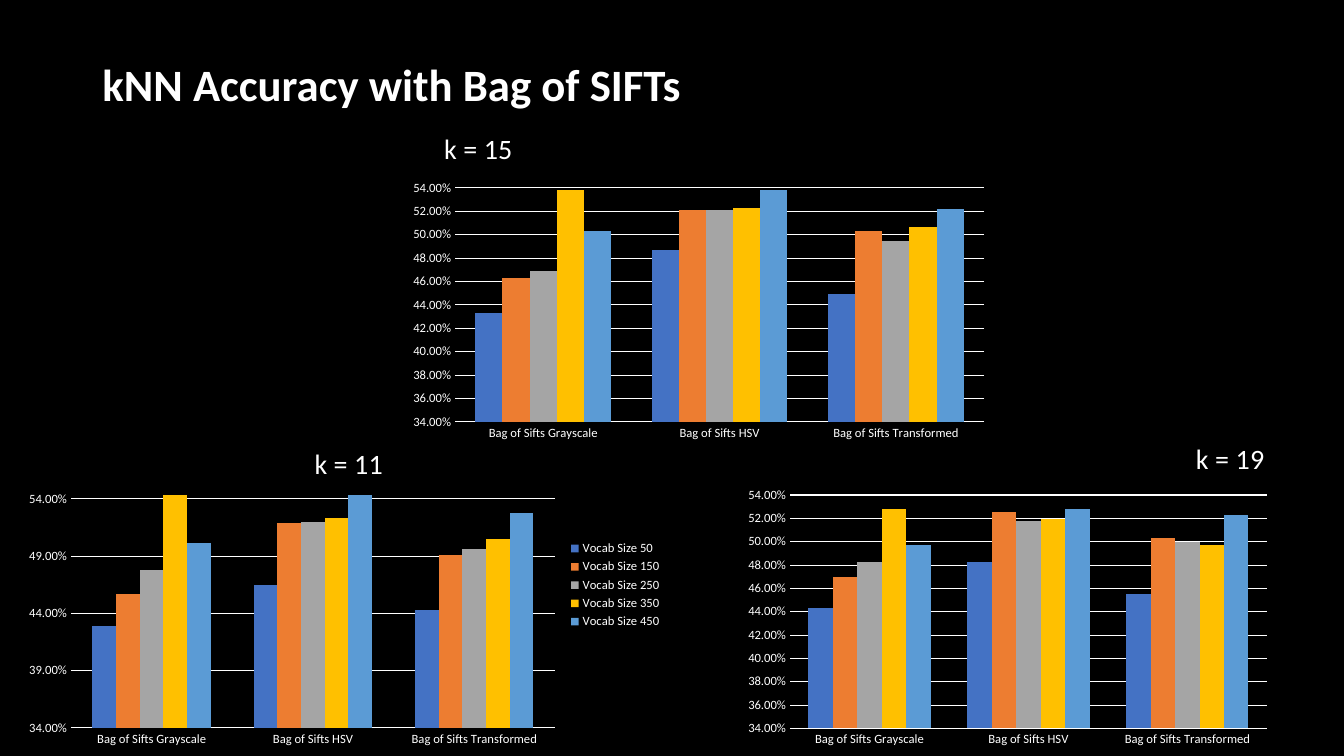
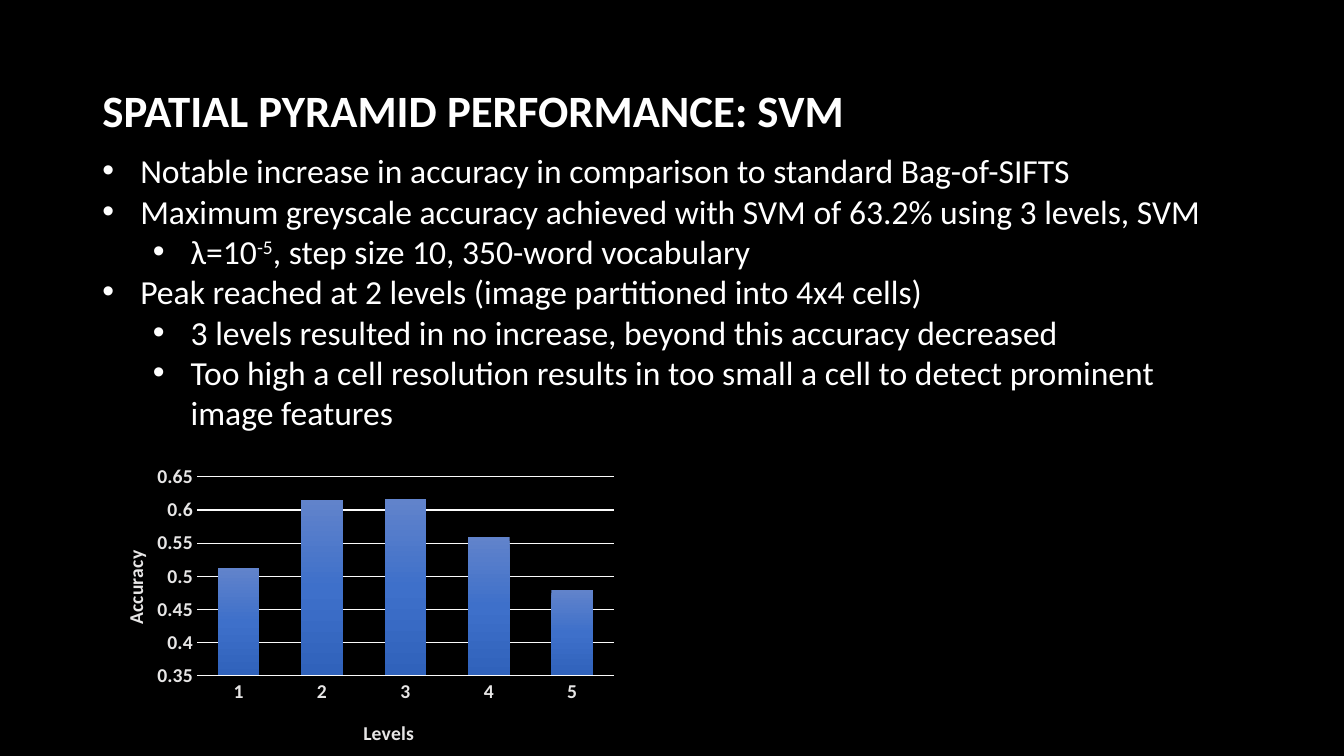
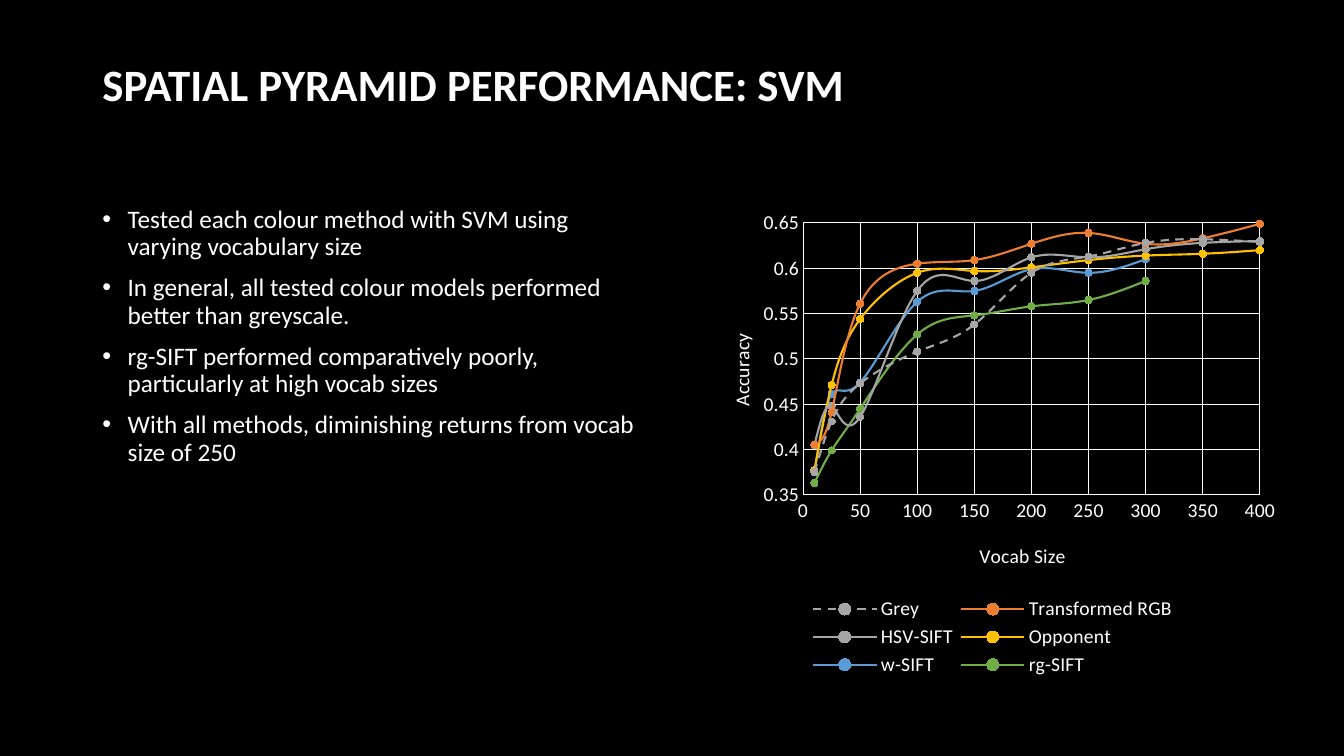
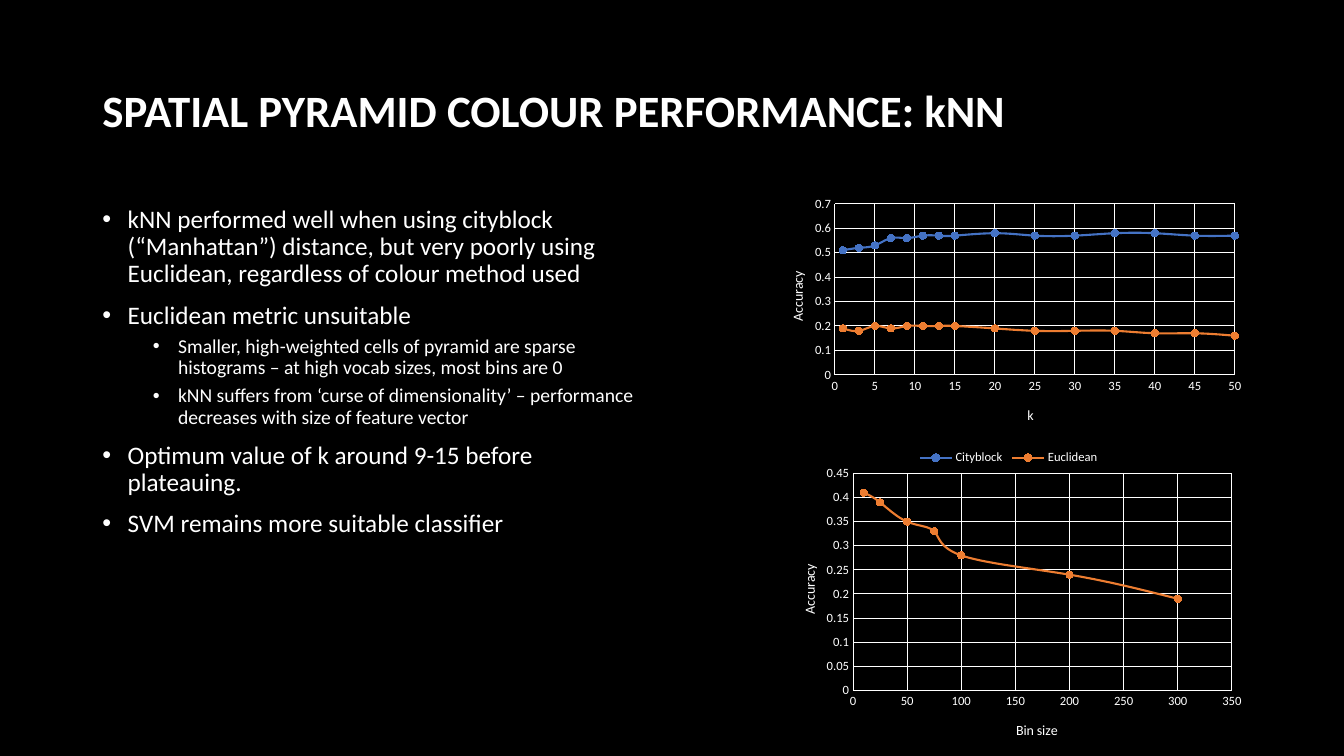
from dataclasses import dataclass
from typing import NamedTuple, Optional

from lxml.etree import SubElement
from pptx import Presentation
from pptx.chart.data import CategoryChartData, XyChartData
from pptx.dml.color import RGBColor
from pptx.enum.chart import XL_CHART_TYPE as ChartType
from pptx.enum.chart import XL_LEGEND_POSITION as LegendPosition
from pptx.enum.chart import XL_MARKER_STYLE as MarkerStyle
from pptx.enum.chart import XL_TICK_MARK as TickMark
from pptx.enum.dml import MSO_LINE_DASH_STYLE as DashStyle
from pptx.enum.text import MSO_ANCHOR as Anchor
from pptx.enum.text import MSO_AUTO_SIZE as AutoSize
from pptx.enum.text import PP_ALIGN as Align
from pptx.oxml import parse_xml
from pptx.oxml.ns import nsdecls, qn
from pptx.util import Pt

FONT = "Calibri"
COLOURS = {
    "background": "000000",
    "text": "FFFFFF",
    "soft_text": "E7E6E6",
    "soft_line": "FBFBFB",
    "blue": "4472C4",
    "orange": "ED7D31",
    "grey": "A5A5A5",
    "dash_grey": "A6A6A6",
    "gold": "FFC000",
    "sky": "5B9BD5",
    "green": "70AD47",
    "bar_top": "6183CB",
    "bar_middle": "3E70CA",
    "bar_bottom": "3062BB",
}


class Box(NamedTuple):
    left: float
    top: float
    width: float = 0
    height: float = 0


class Scale(NamedTuple):
    minimum: float
    maximum: float
    step: float


class Series(NamedTuple):
    name: str
    values: tuple[float, ...]
    colour: str
    dashed: bool = False


class Label(NamedTuple):
    text: str
    left: float
    top: float


class Bullet(NamedTuple):
    text: str
    level: int = 0


@dataclass(frozen=True)
class BulletStyle:
    sizes: tuple[float, float]
    indent: float
    spacing: float
    before: tuple[float, float]


@dataclass(frozen=True)
class ChartSpec:
    frame: Box
    plot: Box
    series: tuple[Series, ...]
    value_scale: Scale
    categories: tuple[str, ...] = ()
    x_values: tuple[float, ...] = ()
    x_scale: Optional[Scale] = None
    title: Optional[Label] = None
    x_title: Optional[Label] = None
    y_title: Optional[Label] = None
    legend: Optional[Box] = None
    legend_position: LegendPosition = LegendPosition.BOTTOM
    size: float = 9
    title_size: float = 10
    bold: bool = False
    text_colour: str = "text"
    line_colour: str = "text"
    number_format: str = "General"
    gap: int = 150
    overlap: int = 0
    gradient: bool = False


TITLE_HIGH = Box(66, 37.5, 828, 49)
TITLE_LOW = Box(66, 28.75, 854, 104.4)
BODY = Box(66, 144, 402.5, 342.7)
WIDE_BODY = Box(66, 103.7, 828, 239.8)
LIST_STYLE = BulletStyle((18, 14), 18, 0.9, (10, 5))
WIDE_LIST_STYLE = BulletStyle((24, 24), 27, 1.0, (0, 0))

SIFT_CATEGORIES = ("Bag of Sifts Grayscale", "Bag of Sifts HSV", "Bag of Sifts Transformed")
VOCAB_SIZES = (50, 150, 250, 350, 450)
VOCAB_COLOURS = ("blue", "orange", "grey", "gold", "sky")


def vocab_series(*rows: tuple[float, ...]) -> tuple[Series, ...]:
    return tuple(
        Series(f"Vocab Size {size}", row, colour)
        for size, row, colour in zip(VOCAB_SIZES, rows, VOCAB_COLOURS)
    )


SIFT_CHARTS = (
    ChartSpec(
        Box(11.5, 298, 468.7, 240.5),
        Box(50.7, 348.2, 345.7, 171.8),
        vocab_series(
            (0.429, 0.465, 0.443),
            (0.457, 0.519, 0.491),
            (0.478, 0.52, 0.496),
            (0.543, 0.523, 0.505),
            (0.501, 0.543, 0.528),
        ),
        Scale(0.34, 0.55, 0.05),
        SIFT_CATEGORIES,
        title=Label("k = 11", 221, 313.5),
        title_size=20,
        legend=Box(405, 384, 69, 68),
        legend_position=LegendPosition.RIGHT,
        number_format="0.00%",
        gap=182,
    ),
    ChartSpec(
        Box(286.6, 79.2, 424.8, 240.5),
        Box(325, 134.3, 377.9, 167.1),
        vocab_series(
            (0.433, 0.487, 0.449),
            (0.463, 0.521, 0.503),
            (0.469, 0.521, 0.495),
            (0.538, 0.523, 0.507),
            (0.503, 0.538, 0.522),
        ),
        Scale(0.34, 0.54, 0.02),
        SIFT_CATEGORIES,
        title=Label("k = 15", 313.6, 88.5),
        title_size=20,
        number_format="0.00%",
    ),
    ChartSpec(
        Box(527, 298, 386, 240.5),
        Box(564.3, 353.6, 340.7, 166.8),
        vocab_series(
            (0.443, 0.483, 0.455),
            (0.47, 0.525, 0.503),
            (0.483, 0.518, 0.5),
            (0.528, 0.519, 0.497),
            (0.497, 0.528, 0.523),
        ),
        Scale(0.34, 0.54, 0.02),
        SIFT_CATEGORIES,
        title=Label("k = 19", 850.7, 310),
        title_size=20,
        number_format="0.00%",
    ),
)

LEVELS_CHART = ChartSpec(
    Box(66, 327.6, 380.2, 216.7),
    Box(140.7, 340.7, 297.9, 141.8),
    (Series("Accuracy", (0.512, 0.615, 0.616, 0.559, 0.479), "blue"),),
    Scale(0.35, 0.65, 0.05),
    ("1", "2", "3", "4", "5"),
    x_title=Label("Levels", 257, 511),
    y_title=Label("Accuracy", 84.5, 390.7),
    size=14,
    title_size=14,
    bold=True,
    text_colour="soft_text",
    line_colour="soft_line",
    gap=100,
    overlap=-24,
    gradient=True,
)

COLOUR_CHART = ChartSpec(
    Box(499, 144, 421.2, 342.7),
    Box(573.6, 159.3, 326.4, 194.3),
    (
        Series("Grey", (0.375, 0.431, 0.473, 0.508, 0.538, 0.595, 0.613, 0.628, 0.632, 0.629), "dash_grey", True),
        Series("Transformed RGB", (0.405, 0.441, 0.561, 0.605, 0.609, 0.627, 0.639, 0.627, 0.633, 0.649), "orange"),
        Series("HSV-SIFT", (0.405, 0.448, 0.436, 0.575, 0.586, 0.612, 0.612, 0.621, 0.628, 0.63), "grey"),
        Series("Opponent", (0.377, 0.471, 0.544, 0.595, 0.597, 0.601, 0.609, 0.614, 0.616, 0.62), "gold"),
        Series("w-SIFT", (0.375, 0.461, 0.474, 0.563, 0.575, 0.599, 0.595, 0.61), "sky"),
        Series("rg-SIFT", (0.363, 0.399, 0.445, 0.527, 0.548, 0.558, 0.565, 0.586), "green"),
    ),
    Scale(0.35, 0.65, 0.05),
    x_values=(10, 25, 50, 100, 150, 200, 250, 300, 350, 400),
    x_scale=Scale(0, 400, 50),
    x_title=Label("Vocab Size", 697, 385),
    y_title=Label("Accuracy", 517.5, 235.7),
    legend=Box(575, 424, 268, 62),
    size=14,
    title_size=14,
)

KNN_CHARTS = (
    ChartSpec(
        Box(545, 136, 348.5, 199.4),
        Box(596.4, 145.7, 285.7, 122.1),
        (
            Series(
                "Cityblock",
                (0.51, 0.52, 0.53, 0.56, 0.56, 0.57, 0.57, 0.57, 0.58, 0.57, 0.57, 0.58, 0.58, 0.57, 0.57),
                "blue",
            ),
            Series(
                "Euclidean",
                (0.19, 0.18, 0.2, 0.19, 0.2, 0.2, 0.2, 0.2, 0.19, 0.18, 0.18, 0.18, 0.17, 0.17, 0.16),
                "orange",
            ),
        ),
        Scale(0, 0.7, 0.1),
        x_values=(1, 3, 5, 7, 9, 11, 13, 15, 20, 25, 30, 35, 40, 45, 50),
        x_scale=Scale(0, 50, 5),
        x_title=Label("k", 732, 288),
        y_title=Label("Accuracy", 561.5, 192),
        legend=Box(653, 319, 135, 16),
    ),
    ChartSpec(
        Box(554.4, 329, 339.8, 211),
        Box(609.3, 338.2, 270.7, 155),
        (Series("Euclidean", (0.41, 0.39, 0.35, 0.33, 0.28, 0.24, 0.19), "orange"),),
        Scale(0, 0.45, 0.05),
        x_values=(10, 25, 50, 75, 100, 200, 300),
        x_scale=Scale(0, 350, 50),
        x_title=Label("Bin size", 724, 513.5),
        y_title=Label("Accuracy", 570, 401.4),
    ),
)

LEVELS_BULLETS = (
    Bullet("Notable increase in accuracy in comparison to standard Bag-of-SIFTS"),
    Bullet("Maximum greyscale accuracy achieved with SVM of 63.2% using 3 levels, SVM"),
    Bullet("λ=10^-5^, step size 10, 350-word vocabulary", 1),
    Bullet("Peak reached at 2 levels (image partitioned into 4x4 cells)"),
    Bullet("3 levels resulted in no increase, beyond this accuracy decreased", 1),
    Bullet("Too high a cell resolution results in too small a cell to detect prominent image features", 1),
)
COLOUR_BULLETS = (
    Bullet("Tested each colour method with SVM using varying vocabulary size"),
    Bullet("In general, all tested colour models performed better than greyscale."),
    Bullet("rg-SIFT performed comparatively poorly, particularly at high vocab sizes"),
    Bullet("With all methods, diminishing returns from vocab size of 250"),
)
KNN_BULLETS = (
    Bullet(
        "kNN performed well when using cityblock (“Manhattan”) distance, "
        "but very poorly using Euclidean, regardless of colour method used"
    ),
    Bullet("Euclidean metric unsuitable"),
    Bullet("Smaller, high-weighted cells of pyramid are sparse histograms – at high vocab sizes, most bins are 0", 1),
    Bullet("kNN suffers from ‘curse of dimensionality’ – performance decreases with size of feature vector", 1),
    Bullet("Optimum value of k around 9-15 before plateauing."),
    Bullet("SVM remains more suitable classifier"),
)


def rgb(name: str) -> RGBColor:
    return RGBColor.from_string(COLOURS[name])


def style_font(font, size: float, colour: str = "text", bold: bool = False) -> None:
    font.name = FONT
    font.size = Pt(size)
    font.bold = bold
    font.color.rgb = rgb(colour)


def style_line(line, colour: str, width: float = 0.75) -> None:
    line.color.rgb = rgb(colour)
    line.width = Pt(width)


def move(shape, box: Box) -> None:
    shape.left, shape.top, shape.width, shape.height = (Pt(value) for value in box)


def add_slide(presentation, title: str, title_box: Box, has_body: bool = True):
    slide = presentation.slides.add_slide(presentation.slide_layouts[1 if has_body else 5])
    shape = slide.shapes.title
    move(shape, title_box)
    frame = shape.text_frame
    frame.text = title
    frame.auto_size = AutoSize.NONE
    frame.vertical_anchor = Anchor.MIDDLE
    paragraph = frame.paragraphs[0]
    paragraph.alignment = Align.LEFT
    paragraph.line_spacing = 0.9
    style_font(paragraph.runs[0].font, 32, bold=True)
    return slide


def fill_body(slide, box: Box, bullets: tuple[Bullet, ...], style: BulletStyle) -> None:
    shape = slide.placeholders[1]
    move(shape, box)
    frame = shape.text_frame
    frame.auto_size = AutoSize.NONE
    frame.vertical_anchor = Anchor.TOP
    for index, bullet in enumerate(bullets):
        paragraph = frame.add_paragraph() if index else frame.paragraphs[0]
        paragraph.level = bullet.level
        properties = paragraph._p.get_or_add_pPr()
        properties.set("marL", str(Pt(style.indent + 36 * bullet.level)))
        properties.set("indent", str(-Pt(style.indent)))
        SubElement(properties, qn("a:buFont")).set("typeface", "Arial")
        SubElement(properties, qn("a:buChar")).set("char", "•")
        paragraph.line_spacing = style.spacing
        paragraph.space_before = Pt(style.before[bullet.level] if index else 0)
        paragraph.space_after = Pt(0)
        for part_index, part in enumerate(bullet.text.split("^")):
            run = paragraph.add_run()
            run.text = part
            style_font(run.font, style.sizes[bullet.level])
            if part_index % 2:
                run._r.get_or_add_rPr().set("baseline", "30000")


def set_layout(element, box: Box, frame: Box, inner: bool = False) -> None:
    for old in element.findall(qn("c:layout")):
        element.remove(old)
    layout = parse_xml(f"<c:layout {nsdecls('c')}><c:manualLayout/></c:layout>")
    entries = [("layoutTarget", "inner")] if inner else []
    entries += [("xMode", "edge"), ("yMode", "edge")]
    entries += [
        ("x", f"{(box.left - frame.left) / frame.width:.4f}"),
        ("y", f"{(box.top - frame.top) / frame.height:.4f}"),
    ]
    if box.width:
        entries += [("w", f"{box.width / frame.width:.4f}"), ("h", f"{box.height / frame.height:.4f}")]
    for tag, value in entries:
        SubElement(layout[0], qn(f"c:{tag}")).set("val", value)
    overlay = element.find(qn("c:overlay"))
    if overlay is None:
        element.insert(0, layout)
    else:
        overlay.addprevious(layout)


def write_title(title, label: Label, spec: ChartSpec, upright: bool = True) -> None:
    title.text_frame.text = label.text
    style_font(title.text_frame.paragraphs[0].runs[0].font, spec.title_size, spec.text_colour, spec.bold)
    if not upright:
        body = title.element.find(".//" + qn("a:bodyPr"))
        body.set("rot", "-5400000")
        body.set("vert", "horz")
    set_layout(title.element, Box(label.left, label.top), spec.frame)


def style_axis(axis, spec: ChartSpec, scale: Optional[Scale], label: Optional[Label], vertical: bool) -> None:
    axis.major_tick_mark = axis.minor_tick_mark = TickMark.NONE
    style_font(axis.tick_labels.font, spec.size, spec.text_colour, spec.bold)
    axis.has_major_gridlines = scale is not None
    if scale:
        axis.minimum_scale, axis.maximum_scale, axis.major_unit = scale
        style_line(axis.major_gridlines.format.line, spec.line_colour)
    if vertical:
        axis.tick_labels.number_format = spec.number_format
        axis.tick_labels.number_format_is_linked = False
    if vertical and spec.categories:
        axis.format.line.fill.background()
    else:
        style_line(axis.format.line, spec.line_colour)
    axis.has_title = label is not None
    if label:
        write_title(axis.axis_title, label, spec, upright=not vertical)


def fill_gradient(series) -> None:
    series.format.fill.solid()
    solid = series.format.fill._xPr.find(qn("a:solidFill"))
    stops = "".join(
        f'<a:gs pos="{position}"><a:srgbClr val="{COLOURS[name]}"/></a:gs>'
        for position, name in ((0, "bar_top"), (50000, "bar_middle"), (100000, "bar_bottom"))
    )
    gradient = parse_xml(
        f'<a:gradFill {nsdecls("a")} rotWithShape="1"><a:gsLst>{stops}</a:gsLst>'
        '<a:lin ang="5400000" scaled="0"/></a:gradFill>'
    )
    solid.getparent().replace(solid, gradient)


def style_bars(plot, spec: ChartSpec) -> None:
    plot.gap_width = spec.gap
    plot.overlap = spec.overlap
    for series, entry in zip(plot.series, spec.series):
        if spec.gradient:
            fill_gradient(series)
        else:
            series.format.fill.solid()
            series.format.fill.fore_color.rgb = rgb(entry.colour)


def style_curves(chart, spec: ChartSpec) -> None:
    for series, entry in zip(chart.plots[0].series, spec.series):
        style_line(series.format.line, entry.colour, 1.5)
        if entry.dashed:
            series.format.line.dash_style = DashStyle.DASH
        series.marker.style = MarkerStyle.CIRCLE
        series.marker.size = 5
        series.marker.format.fill.solid()
        series.marker.format.fill.fore_color.rgb = rgb(entry.colour)
        style_line(series.marker.format.line, entry.colour)
    for smooth in chart.element.iter(qn("c:smooth")):
        smooth.set("val", "1")


def chart_data(spec: ChartSpec):
    if spec.categories:
        data = CategoryChartData()
        data.categories = spec.categories
        for entry in spec.series:
            data.add_series(entry.name, entry.values)
        return data
    data = XyChartData()
    for entry in spec.series:
        points = data.add_series(entry.name)
        for x_value, y_value in zip(spec.x_values, entry.values):
            points.add_data_point(x_value, y_value)
    return data


def draw_chart(slide, spec: ChartSpec) -> None:
    kind = ChartType.COLUMN_CLUSTERED if spec.categories else ChartType.XY_SCATTER_SMOOTH
    chart = slide.shapes.add_chart(kind, *(Pt(value) for value in spec.frame), chart_data(spec)).chart
    style_font(chart.font, spec.size, bold=spec.bold)
    chart.has_title = spec.title is not None
    if spec.title:
        write_title(chart.chart_title, spec.title, spec)
    chart.has_legend = spec.legend is not None
    if spec.legend:
        chart.legend.position = spec.legend_position
        chart.legend.include_in_layout = False
        style_font(chart.legend.font, spec.size)
        set_layout(chart.element.find(".//" + qn("c:legend")), spec.legend, spec.frame)
    plot = chart.plots[0]
    plot.vary_by_categories = False
    style_axis(chart.category_axis, spec, spec.x_scale, spec.x_title, vertical=False)
    style_axis(chart.value_axis, spec, spec.value_scale, spec.y_title, vertical=True)
    if spec.categories:
        style_bars(plot, spec)
    else:
        style_curves(chart, spec)
    set_layout(chart.element.find(".//" + qn("c:plotArea")), spec.plot, spec.frame, inner=True)


def main() -> None:
    presentation = Presentation()
    presentation.slide_width, presentation.slide_height = Pt(960), Pt(540)
    background = presentation.slide_master.background.fill
    background.solid()
    background.fore_color.rgb = rgb("background")

    slide = add_slide(presentation, "kNN Accuracy with Bag of SIFTs", TITLE_HIGH, has_body=False)
    for spec in SIFT_CHARTS:
        draw_chart(slide, spec)

    slide = add_slide(presentation, "SPATIAL PYRAMID PERFORMANCE: SVM", TITLE_LOW)
    fill_body(slide, WIDE_BODY, LEVELS_BULLETS, WIDE_LIST_STYLE)
    draw_chart(slide, LEVELS_CHART)

    slide = add_slide(presentation, "SPATIAL PYRAMID PERFORMANCE: SVM", TITLE_HIGH)
    fill_body(slide, BODY, COLOUR_BULLETS, LIST_STYLE)
    draw_chart(slide, COLOUR_CHART)

    slide = add_slide(presentation, "SPATIAL PYRAMID COLOUR PERFORMANCE: kNN", TITLE_LOW)
    fill_body(slide, BODY, KNN_BULLETS, LIST_STYLE)
    for spec in KNN_CHARTS:
        draw_chart(slide, spec)

    presentation.save("out.pptx")


if __name__ == "__main__":
    main()
